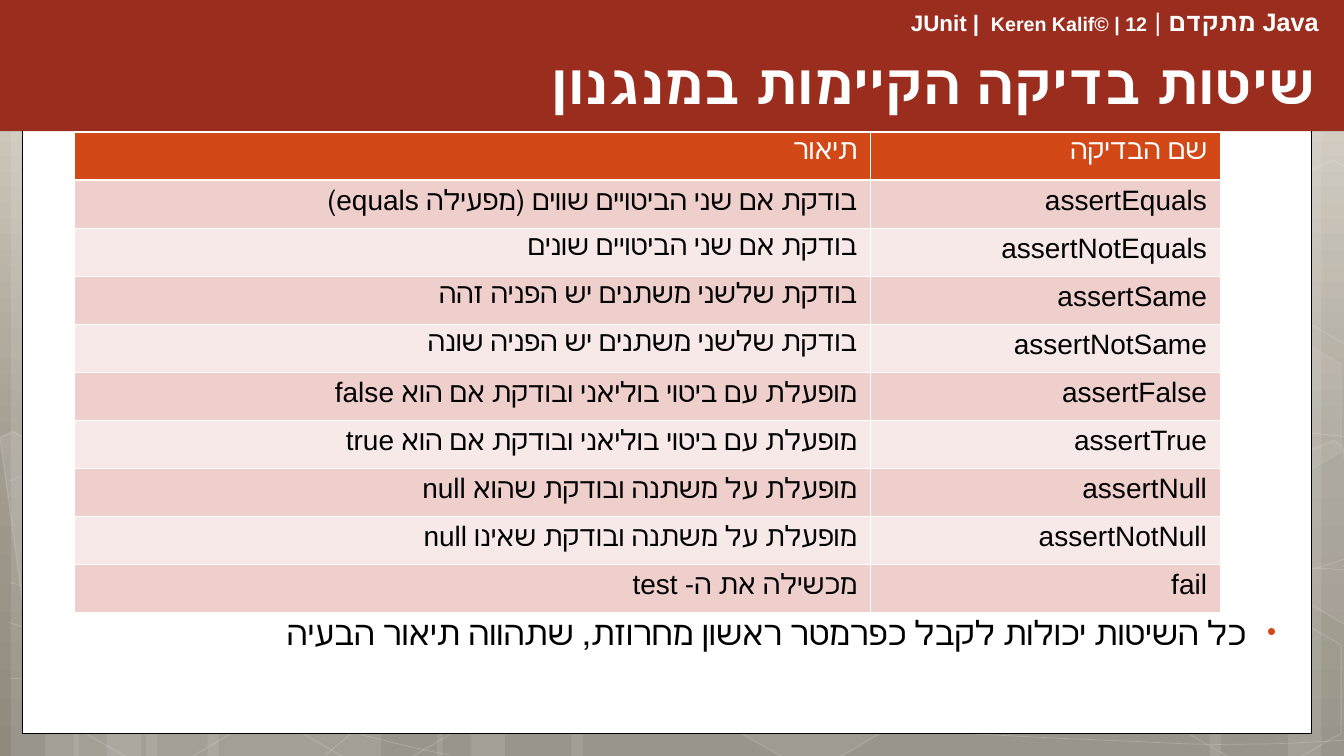
from copy import deepcopy
from lxml.etree import SubElement
from pptx import Presentation
from pptx.dml.color import RGBColor
from pptx.enum.shapes import MSO_SHAPE
from pptx.enum.text import MSO_ANCHOR, MSO_AUTO_SIZE, PP_ALIGN
from pptx.oxml.ns import qn
from pptx.util import Inches, Pt

BANDS = [(14.5, 23.3), (1.1, 6.7), (4.5, 11.1), (20.6, 23.3), (7.3, 6.7), (10.6, 11.1),
         (97.8, 23.3), (127.8, 6.7), (120, 11.1), (56.7, 41.1), (43.4, 6.7), (46.7, 11.1)]
CURVES = [
    [(1, 67.3), (8.2, 67.6), (15.4, 67.9), (25.4, 67.8), (35.4, 67.7), (47.7, 67.5), (61, 66.5),
     (74.4, 65.5), (93.3, 63.6), (105.5, 61.7), (117.8, 59.8), (130.3, 56.8), (134.3, 55.1)],
    [(1, 47.7), (4.8, 46.1), (8.6, 44.6), (16.2, 43.1), (23.8, 41.6), (34.5, 39.4), (46.3, 38.7),
     (58.2, 38), (72.7, 37.9), (87.2, 38.7), (101.9, 39.5), (126.3, 42.6), (134.3, 43.4)],
    [(0.8, 61.7), (16.9, 67.2), (33, 72.7), (44.6, 74.9)],
    [(1, 57.8), (5.1, 58.9), (9.3, 60), (17.1, 61.6), (24.8, 63.1), (36.4, 65.6), (47.5, 67.3),
     (58.6, 69), (72.7, 70.8), (83.7, 71.8), (94.8, 72.9), (106.6, 73.3), (113.7, 73.6),
     (120.7, 74), (122.5, 73.8), (126, 73.8), (129.4, 73.7), (131.9, 73.5), (134.3, 73.4)],
    [(32.3, 74.9), (34.7, 72.9), (37, 70.9), (40.3, 69.1), (43.5, 67.3), (48, 65.3), (51.7, 63.9),
     (55.4, 62.5), (57.7, 61.9), (62.6, 60.9), (67.5, 59.9), (76.5, 58.5), (81.1, 57.8),
     (85.8, 57.1), (86.5, 57.1), (90.7, 56.9), (94.8, 56.6), (101.3, 56.3), (105.9, 56.2),
     (110.5, 56.1), (118.2, 56.2), (118.2, 56.2), (121, 56.2), (124, 56.2), (127, 56.2),
     (129.5, 56.3), (131.7, 56.4), (134.1, 56.6)],
]
CELLS = [(66.2, 58.9, 6, 12), (1.5, 59.1, None, 12), (23.2, 59.2, None, 12),
         (111.2, 59.3, None, 12), (111.2, 31.4, 7, 8)]
CUTS = [
    ([(0, 43.4), (1.3, 42.8), (11.5, 48.7), (12.7, 58.1), (3.9, 61.8), (2.4, 60.9)], 10),
    ([(123.5, 47.4), (132.3, 43.7), (133.2, 44.3), (135.7, 62.5), (134.9, 62.8), (124.7, 56.9)], 4),
    ([(123.5, 19.6), (132.3, 15.9), (133.4, 16.5), (135.7, 34.6), (134.9, 35), (124.7, 29.1)], None),
]
TESTS = [
    ("תיאור", "שם הבדיקה"),
    ("בודקת אם שני הביטויים שווים (מפעילה equals)", "assertEquals"),
    ("בודקת אם שני הביטויים שונים", "assertNotEquals"),
    ("בודקת שלשני משתנים יש הפניה זהה", "assertSame"),
    ("בודקת שלשני משתנים יש הפניה שונה", "assertNotSame"),
    ("מופעלת עם ביטוי בוליאני ובודקת אם הוא false", "assertFalse"),
    ("מופעלת עם ביטוי בוליאני ובודקת אם הוא true", "assertTrue"),
    ("מופעלת על משתנה ובודקת שהוא null", "assertNull"),
    ("מופעלת על משתנה ובודקת שאינו null", "assertNotNull"),
    ("מכשילה את ה- test", "fail"),
]


def ink(code):
    return RGBColor.from_string(code)


def grid(*cells):
    return [Inches(cell / 10) for cell in cells]


class Deck:
    """Draws on one slide with a shared style, on a grid of ten cells to the inch."""

    font, white, black, rust, accent = "Arial", "FFFFFF", "000000", "9B2D1F", "D34817"
    tints = "F7E9E8", "EFCFCC"

    def __init__(self):
        self.file = Presentation()
        self.file.slide_width, self.file.slide_height = grid(133.33, 75)
        self.slide = self.file.slides.add_slide(self.file.slide_layouts[1])
        self.shapes = self.slide.shapes

    def back(self, *stops):
        fill = self.slide.background.fill
        fill.gradient()
        fill.gradient_angle = 270
        first = fill.gradient_stops[0]._gs
        first.addnext(deepcopy(first))
        for stop, (place, code) in zip(fill.gradient_stops, stops):
            stop.position, stop.color.rgb = place, ink(code)

    def paint(self, shape, fill=None, line=None, width=1, fades=()):
        shape.shadow.inherit = False
        for part, code in ((shape.fill, fill), (shape.line.fill, line)):
            if code:
                part.solid()
                part.fore_color.rgb = ink(code)
            else:
                part.background()
        if line:
            shape.line.width = Pt(width)
        tags = shape._element.spPr.findall(".//" + qn("a:srgbClr"))
        for tag, fade in zip(tags, fades):
            SubElement(tag, qn("a:alpha"), val=str(fade * 1000))

    def block(self, box, kind=MSO_SHAPE.RECTANGLE, **look):
        shape = self.shapes.add_shape(kind, *grid(*box))
        self.paint(shape, **look)
        return shape

    def trace(self, dots, close=False, **look):
        first, *rest = [grid(*dot) for dot in dots]
        pen = self.shapes.build_freeform(*first)
        pen.add_line_segments(rest, close=close)
        shape = pen.convert_to_shape()
        self.paint(shape, **look)
        return shape

    def curve(self, knots, **look):
        shape = self.trace(knots, **look)
        steps = shape._element.spPr.findall(".//" + qn("a:lnTo"))
        for i in range(0, len(steps), 3):
            bend = SubElement(steps[i].getparent(), qn("a:cubicBezTo"))
            for step in steps[i:i + 3]:
                bend.append(step[0])
                step.getparent().remove(step)

    def glass(self, fill, edge):
        fades = (fill, edge) if fill else (edge,)
        return dict(fill=self.white if fill else None, line=self.white, fades=fades)

    def hexagon(self, left, top, fill, edge):
        shape = self.block((left, top, 23.4, 15.2), MSO_SHAPE.HEXAGON, **self.glass(fill, edge))
        shape.adjustments[0] = 0.285
        shape.rotation = 30

    def style(self, line, size, code, bold=False):
        line.alignment = PP_ALIGN.RIGHT
        line._p.get_or_add_pPr().set("rtl", "1")
        font = line.font
        font.name, font.size, font.bold, font.color.rgb = self.font, Pt(size), bold, ink(code)

    def holder(self, index, box, text, size, code, bold=False):
        shape = self.slide.placeholders[index]
        shape.left, shape.top, shape.width, shape.height = grid(*box)
        self.shapes._spTree.append(shape._element)
        frame = shape.text_frame
        frame.text, frame.auto_size = text, MSO_AUTO_SIZE.NONE
        self.style(frame.paragraphs[0], size, code, bold)
        return frame

    def title(self, box, text):
        self.holder(0, box, text, 40, self.white, True).vertical_anchor = MSO_ANCHOR.MIDDLE

    def bullet(self, box, text, drop):
        frame = self.holder(1, box, text, 24, self.black)
        frame.vertical_anchor = MSO_ANCHOR.TOP
        frame.margin_top, = grid(drop)
        props = frame.paragraphs[0]._p.pPr
        indent, hang = grid(3.8, -3)
        props.set("marL", str(indent))
        props.set("indent", str(hang))
        marks = [SubElement(props, qn("a:buClr")), SubElement(props, qn("a:buSzPct"), val="76000"),
                 SubElement(props, qn("a:buChar"), char="•")]
        SubElement(marks[0], qn("a:srgbClr"), val=self.accent)
        for spot, mark in enumerate(marks):
            props.insert(spot, mark)

    def header(self, box, *runs):
        frame = self.shapes.add_textbox(*grid(*box)).text_frame
        frame.word_wrap = True
        line = frame.paragraphs[0]
        self.style(line, 18, self.white, True)
        for text, size in runs:
            run = line.add_run()
            run.text, run.font.size = text, Pt(size)

    def table(self, box, spans, rows):
        table = self.shapes.add_table(len(rows), len(spans), *grid(*box)).table
        table.first_row = table.horz_banding = False
        for column, span in zip(table.columns, grid(*spans)):
            column.width = span
        for r, row in enumerate(rows):
            for c, text in enumerate(row):
                cell = table.cell(r, c)
                cell.text = text
                cell.margin_left = cell.margin_right = Inches(0.13)
                cell.fill.solid()
                cell.fill.fore_color.rgb = ink(self.tints[r % 2] if r else self.accent)
                self.style(cell.text_frame.paragraphs[0], 20, self.black if r else self.white)


def main():
    deck = Deck()
    deck.back((0, "DDD7CB"), (0.62, "A29C90"), (1, "8F8A7D"))
    for left, width in BANDS:
        deck.block((left, 0, width, 75), fill=deck.white, fades=(10,))
    for knots in CURVES:
        deck.curve(knots, line=deck.white, width=0.5, fades=(20,))
    for cell in CELLS:
        deck.hexagon(*cell)
    for dots, fill in CUTS:
        deck.trace(dots, close=True, **deck.glass(fill, 12))
    deck.block((2.2, 3.6, 127.9, 69.15), fill=deck.white, line=deck.black, width=0.5)
    deck.block((0, -0.1, 133.33, 13.1), fill=deck.rust)
    deck.header((2.8, 0.1, 129, 9.1), ("Java מתקדם | ", 18), ("JUnit | ", 16),
                (" Keren Kalif© | 12", 14))
    deck.title((0, 4.1, 131.5, 8.1), "שיטות בדיקה הקיימות במנגנון")
    deck.bullet((3.5, 13.5, 124.9, 57.9),
                "כל השיטות יכולות לקבל כפרמטר ראשון מחרוזת, שתהווה תיאור הבעיה", 47.2)
    deck.table((7.4, 13.1, 113.65, 47.7), (78.95, 34.7), TESTS)
    deck.file.save("out.pptx")


if __name__ == "__main__":
    main()
